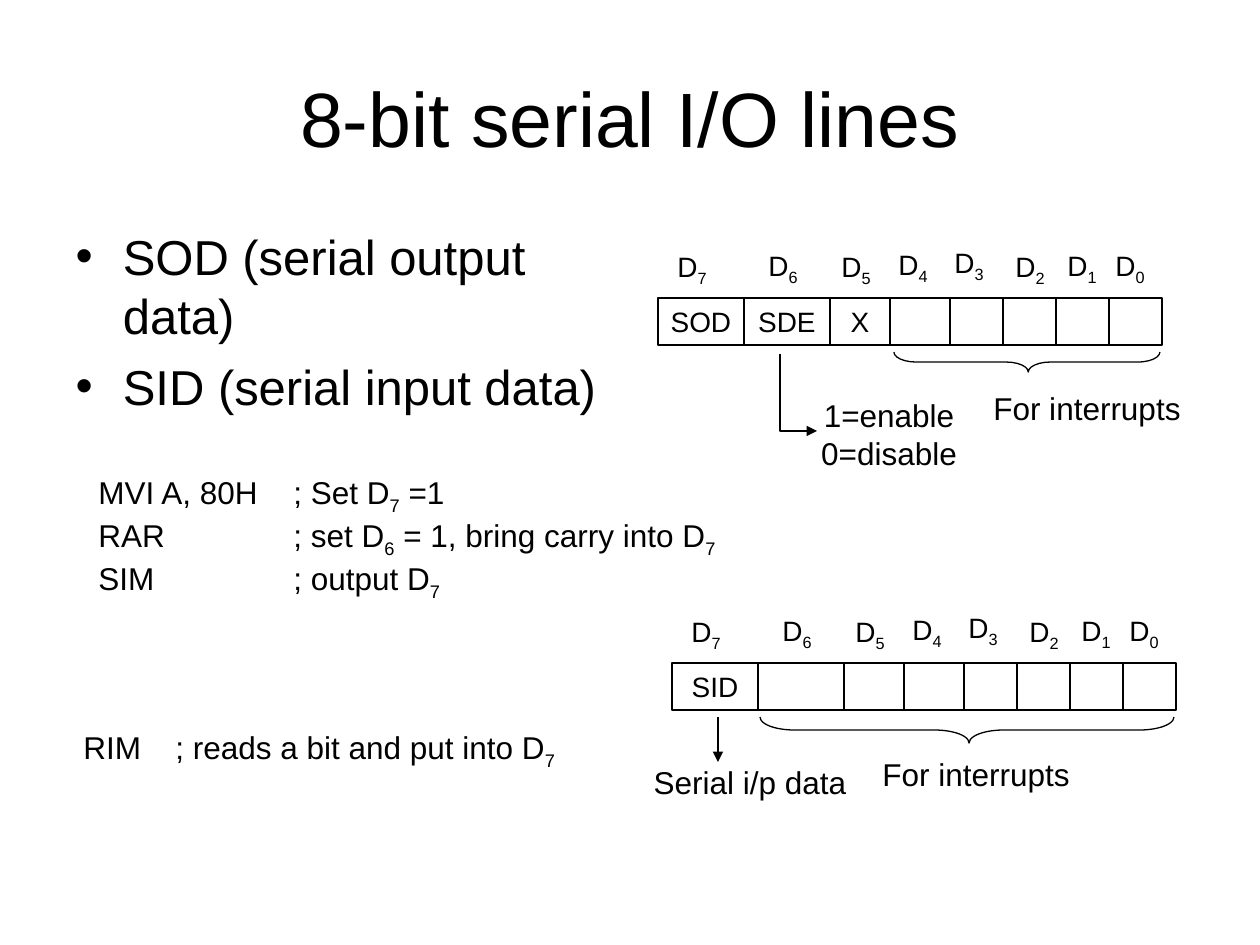
from lxml.etree import SubElement
from pptx import Presentation
from pptx.dml.color import RGBColor
from pptx.enum.shapes import MSO_CONNECTOR as Conn, MSO_SHAPE as Geo
from pptx.enum.text import MSO_ANCHOR as Anchor, MSO_AUTO_SIZE as Auto, PP_ALIGN as Align
from pptx.oxml.ns import qn
from pptx.util import Pt

PX = 914400 / 126
FONT = "Arial"
HEX = {"ink": "000000"}
WIDTHS = [86, 86, 60, 60, 53, 53, 53, 53]
CELL_H = 47
# Label places, from the top left corner of the register
LABELS = [(7, -55), (98, -56), (171, -55), (228, -57),
          (284, -59), (345, -55), (397, -56), (445, -56)]


def emu(*nums):
    return [round(n * PX) for n in nums]


def ink():
    return RGBColor.from_string(HEX["ink"])


def style(para, size, align=Align.LEFT, tab=None):
    if tab:
        tabs = SubElement(para._p.get_or_add_pPr(), qn("a:tabLst"))
        SubElement(tabs, qn("a:tab"), pos=str(emu(tab)[0]), algn="l")
    para.alignment = align
    para.font.size = Pt(size)
    para.font.name = FONT
    para.font.color.rgb = ink()


def write(para, text):
    """Add runs; the digit after each underscore is a subscript."""
    first, *rest = text.split("_")
    para.add_run().text = first
    for part in rest:
        sub = para.add_run()
        sub.text = part[0]
        sub._r.get_or_add_rPr().set("baseline", "-25000")
        if part[1:]:
            para.add_run().text = part[1:]


def note(slide, box, lines, size=18, align=Align.CENTER, tab=None):
    frame = slide.shapes.add_textbox(*emu(*box)).text_frame
    frame.word_wrap = align == Align.LEFT
    for i, text in enumerate(lines):
        para = frame.add_paragraph() if i else frame.paragraphs[0]
        style(para, size, align, tab)
        write(para, text)


def draw(shape, head=False):
    """Give a shape or line its thin stroke, with an arrowhead if asked."""
    shape.line.color.rgb = ink()
    shape.line.width = Pt(0.75)
    props = shape._element.spPr
    if head:
        SubElement(props.find(qn("a:ln")), qn("a:tailEnd"), type="triangle")
    if props.find(qn("a:effectLst")) is None:
        SubElement(props, qn("a:effectLst"))


def brace(slide, x, y, w, h):
    """Draw a brace that opens upward and fills the given box."""
    shift = (w - h) / 2
    shape = slide.shapes.add_shape(Geo.LEFT_BRACE, *emu(x + shift, y - shift, h, w))
    shape.rotation = 270
    shape.adjustments[0] = w / 12 / h
    shape.adjustments[1] = 0.505
    shape.fill.background()
    draw(shape)


def elbow(slide, start, *points):
    path = slide.shapes.build_freeform(*start, scale=PX)
    path.add_line_segments(points, close=False)
    shape = path.convert_to_shape()
    shape.fill.background()
    draw(shape, head=True)


def register(slide, x, y, names):
    """Draw eight bit cells, the first ones named, with D7 to D0 above."""
    for i, (wide, (dx, dy)) in enumerate(zip(WIDTHS, LABELS)):
        left = x + sum(WIDTHS[:i])
        cell = slide.shapes.add_shape(Geo.RECTANGLE, *emu(left, y, wide, CELL_H))
        cell.fill.background()
        draw(cell)
        if i < len(names):
            frame = cell.text_frame
            frame.margin_left = frame.margin_right = 0
            frame.vertical_anchor = Anchor.MIDDLE
            style(frame.paragraphs[0], 16, Align.CENTER)
            write(frame.paragraphs[0], names[i])
        note(slide, (x + dx, y + dy, 54, 52), [f"D_{7 - i}"], 16)


def sim(slide, x, y):
    register(slide, x, y, ["SOD", "SDE", "X"])
    brace(slide, x + 236, y + 54, 266, 20)
    note(slide, (x + 314, y + 85, 230, 50), ["For interrupts"])
    elbow(slide, (x + 122, y + 56), (x + 122, y + 133), (x + 159, y + 133))
    note(slide, (x + 141, y + 92, 180, 88), ["1=enable", "0=disable"])


def rim(slide, x, y):
    register(slide, x, y, ["SID"])
    brace(slide, x + 88, y + 54, 414, 26)
    note(slide, (x + 189, y + 86, 230, 50), ["For interrupts"])
    arrow = slide.shapes.add_connector(
        Conn.STRAIGHT, *emu(x + 46, y + 54, x + 46, y + 99))
    draw(arrow, head=True)
    note(slide, (x - 37, y + 94, 230, 50), ["Serial i/p data"])


def place(holder, box, lines, size, align):
    """Move a placeholder and fill it with paragraphs."""
    holder.left, holder.top, holder.width, holder.height = emu(*box)
    frame = holder.text_frame
    frame.auto_size = Auto.NONE
    for i, text in enumerate(lines):
        para = frame.add_paragraph() if i else frame.paragraphs[0]
        para.space_before = Pt(7 if i else 0)
        style(para, size, align)
        write(para, text)


def main():
    deck = Presentation()
    deck.slide_width, deck.slide_height = emu(1260, 945)
    slide = deck.slides.add_slide(deck.slide_layouts[1])
    title, body = slide.placeholders
    place(title, (63, 38, 1134, 158), ["8-bit serial I/O lines"], 44, Align.CENTER)
    place(body, (63, 220, 557, 624),
          ["SOD (serial output data)", "SID (serial input data)"], 28, Align.LEFT)
    sim(slide, 658, 298)
    note(slide, (86, 467, 660, 142),
         ["MVI A, 80H\t; Set D_7 =1",
          "RAR\t; set D_6 = 1, bring carry into D_7",
          "SIM\t; output D_7"], align=Align.LEFT, tab=195)
    rim(slide, 672, 663)
    note(slide, (71, 722, 510, 55),
         ["RIM\t; reads a bit and put into D_7"], align=Align.LEFT, tab=92)
    deck.save("out.pptx")


if __name__ == "__main__":
    main()
